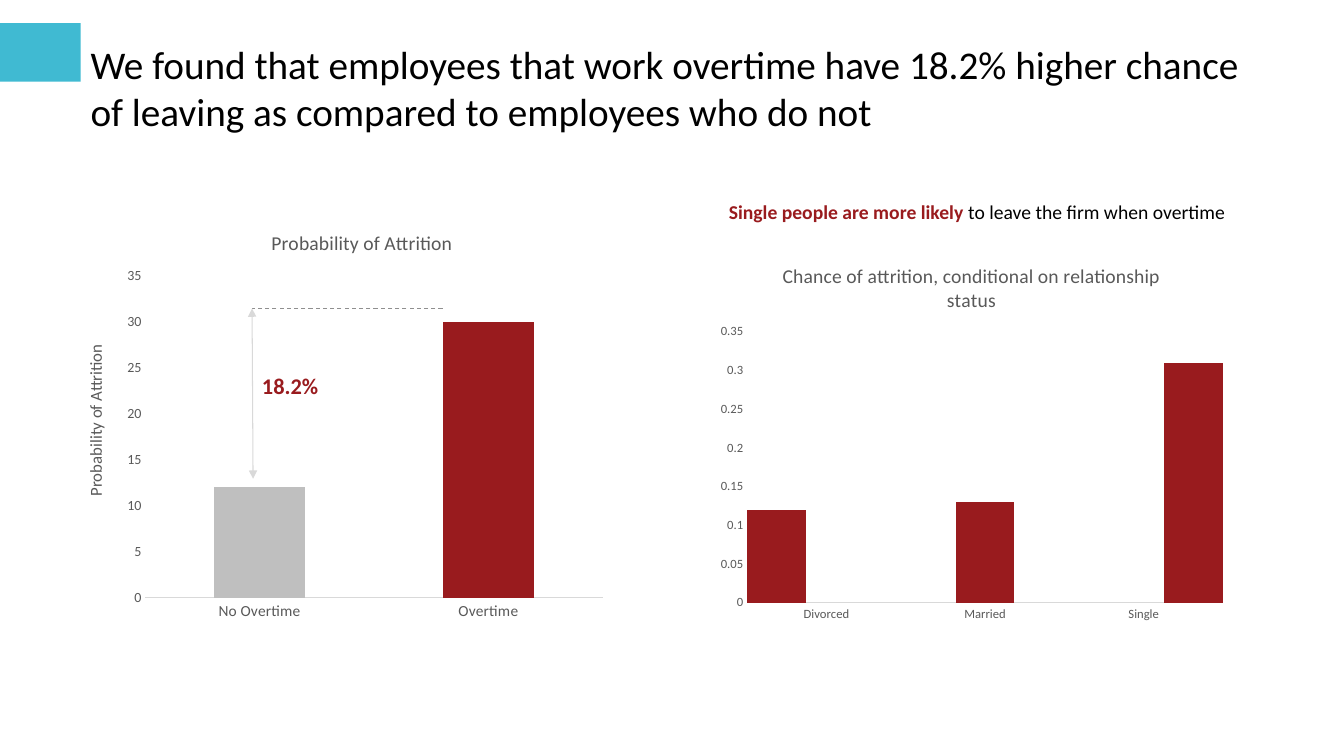
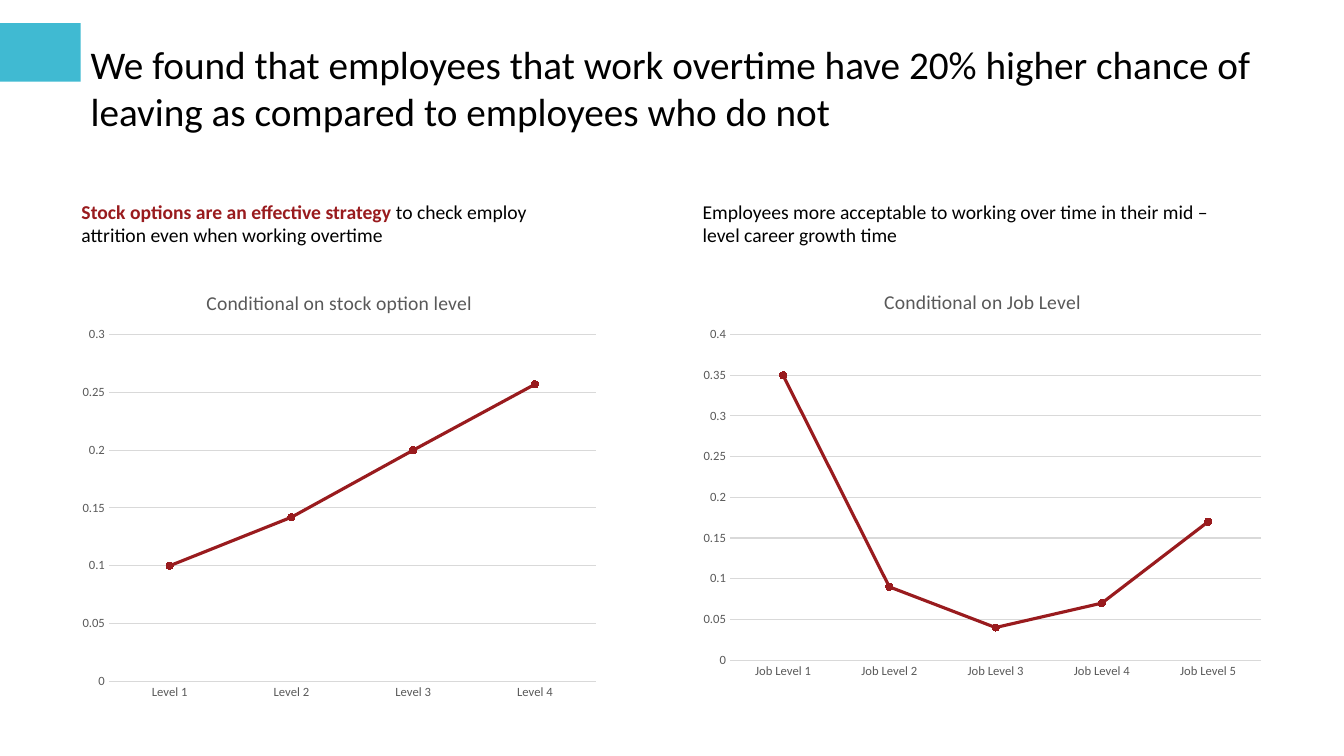
from lxml import etree
from pptx import Presentation
from pptx import util as u
from pptx.chart.data import CategoryChartData
from pptx.dml.color import RGBColor
from pptx.enum import chart as charts, dml, shapes, text
from pptx.oxml.ns import qn

PX = 9144  # EMU in one px, at 100 px to the inch
FONT = "Calibri"
BLACK = RGBColor(0x00, 0x00, 0x00)
GREY = RGBColor(0x59, 0x59, 0x59)
DASH_GREY = RGBColor(0x8F, 0x8F, 0x8F)
RULE_GREY = RGBColor(0xD9, 0xD9, 0xD9)
BAR_GREY = RGBColor(0xBF, 0xBF, 0xBF)
CRIMSON = RGBColor(0x99, 0x1B, 0x1E)
TEAL = RGBColor(0x40, 0xBA, 0xD2)


def px(*lengths):
    return [u.Emu(length * PX) for length in lengths]


def set_font(font, size, color, bold=False):
    font.name = FONT
    font.size = u.Pt(size)
    font.bold = bold
    font.color.rgb = color


def set_line(line, color, width=0.75):
    line.color.rgb = color
    line.width = u.Pt(width)


class Deck:
    def __init__(self):
        self.presentation = Presentation()
        self.presentation.slide_width, self.presentation.slide_height = px(1333, 750)
        self.slide = None

    def new_slide(self, title):
        """Start a slide with the shared accent block and title."""
        self.slide = self.presentation.slides.add_slide(self.presentation.slide_layouts[6])
        self.text((80, 35, 1187, 104), [(title, BLACK, False)], size=28)
        accent = self.slide.shapes.add_shape(shapes.MSO_SHAPE.RECTANGLE, *px(0, 23, 80, 58))
        accent.shadow.inherit = False
        accent.fill.solid()
        accent.fill.fore_color.rgb = TEAL
        accent.line.fill.background()

    def text(self, box, runs, size=14, wrap=True, align=None, rotation=0):
        """Write one paragraph; each run is (wording, color, bold)."""
        shape = self.slide.shapes.add_textbox(*px(*box))
        shape.rotation = rotation
        frame = shape.text_frame
        frame.word_wrap = wrap
        frame.auto_size = text.MSO_AUTO_SIZE.SHAPE_TO_FIT_TEXT
        paragraph = frame.paragraphs[0]
        paragraph.alignment = align
        for wording, color, bold in runs:
            run = paragraph.add_run()
            run.text = wording
            set_font(run.font, size, color, bold)

    def line(self, start, end, color, dashed=False, arrows=False):
        connector = self.slide.shapes.add_connector(
            shapes.MSO_CONNECTOR.STRAIGHT, *px(*start, *end))
        set_line(connector.line, color)
        if dashed:
            connector.line.dash_style = dml.MSO_LINE.DASH
        properties = connector.element.spPr
        if arrows:
            outline = properties.find(qn("a:ln"))
            for tag in ("a:headEnd", "a:tailEnd"):
                etree.SubElement(outline, qn(tag), type="triangle")
        etree.SubElement(properties, qn("a:effectLst"))

    def chart(self, kind, box, plot_box, title, categories, series, top, step,
              category_size=9, value_size=9):
        """Add a chart; box and plot_box are both measured on the slide."""
        data = CategoryChartData()
        data.categories = categories
        for number, values in enumerate(series, 1):
            data.add_series(f"Series {number}", values)
        chart = self.slide.shapes.add_chart(kind, *px(*box), data).chart
        chart.has_legend = False
        chart.font.name = FONT
        chart.font.size = u.Pt(10)
        chart.has_title = True
        chart.chart_title.text_frame.text = title
        set_font(chart.chart_title.text_frame.paragraphs[0].runs[0].font, 14, GREY)

        category_axis, value_axis = chart.category_axis, chart.value_axis
        for axis, size in ((category_axis, category_size), (value_axis, value_size)):
            axis.major_tick_mark = axis.minor_tick_mark = charts.XL_TICK_MARK.NONE
            set_font(axis.tick_labels.font, size, GREY)
        set_line(category_axis.format.line, RULE_GREY)
        value_axis.format.line.fill.background()
        value_axis.has_major_gridlines = False
        value_axis.minimum_scale = 0
        value_axis.maximum_scale = top
        value_axis.major_unit = step
        value_axis.tick_labels.number_format = "General"
        value_axis.tick_labels.number_format_is_linked = False
        self.place_plot(chart, box, plot_box)
        return chart

    def place_plot(self, chart, box, plot_box):
        area = chart.element.find(".//" + qn("c:plotArea"))
        for old in area.findall(qn("c:layout")):
            area.remove(old)
        layout = etree.Element(qn("c:layout"))
        area.insert(0, layout)
        manual = etree.SubElement(layout, qn("c:manualLayout"))
        left, top, width, height = box
        plot_left, plot_top, plot_width, plot_height = plot_box
        settings = {
            "layoutTarget": "inner", "xMode": "edge", "yMode": "edge",
            "x": round((plot_left - left) / width, 4),
            "y": round((plot_top - top) / height, 4),
            "w": round(plot_width / width, 4),
            "h": round(plot_height / height, 4),
        }
        for name, value in settings.items():
            etree.SubElement(manual, qn("c:" + name), val=str(value))

    def bars(self, kind, *args, colors, gap, overlap, **sizes):
        chart = self.chart(kind, *args, **sizes)
        plot = chart.plots[0]
        plot.vary_by_categories = False
        plot.gap_width = gap
        plot.overlap = overlap
        for series, color in zip(plot.series, colors):
            series.format.fill.solid()
            series.format.fill.fore_color.rgb = color

    def trend(self, *args, **sizes):
        chart = self.chart(charts.XL_CHART_TYPE.LINE_MARKERS, *args, **sizes)
        axis = chart.value_axis
        axis.has_major_gridlines = True
        set_line(axis.major_gridlines.format.line, RULE_GREY)
        chart.plots[0].vary_by_categories = False
        series = chart.plots[0].series[0]
        series.smooth = False
        set_line(series.format.line, CRIMSON, 2.25)
        series.marker.style = charts.XL_MARKER_STYLE.CIRCLE
        series.marker.size = 5
        series.marker.format.fill.solid()
        series.marker.format.fill.fore_color.rgb = CRIMSON
        set_line(series.marker.format.line, CRIMSON)


def overtime_slide(deck):
    deck.new_slide("We found that employees that work overtime have 18.2% higher chance "
                   "of leaving as compared to employees who do not")
    deck.bars(charts.XL_CHART_TYPE.COLUMN_CLUSTERED,
              (704, 244, 519, 380), (741, 329, 472, 269),
              "Chance of attrition, conditional on relationship status",
              ["Divorced", "Married", "Single"],
              [(0.12, None, None), (None, 0.13, None), (None, None, 0.31)],
              0.35, 0.05, colors=[CRIMSON] * 3, gap=0, overlap=15)
    deck.bars(charts.XL_CHART_TYPE.COLUMN_STACKED,
              (110, 210, 498, 414), (144, 274, 454, 319),
              "Probability of Attrition", ["No Overtime", "Overtime"],
              [(12, None), (None, 30)], 35, 5,
              colors=[BAR_GREY, CRIMSON], gap=150, overlap=100,
              category_size=11, value_size=10)
    deck.text((-79, 402, 347, 30), [("Probability of Attrition", GREY, False)],
              size=12, align=text.PP_ALIGN.CENTER, rotation=270)
    deck.line((439, 306), (250, 306), DASH_GREY, dashed=True)
    deck.line((250, 306), (251, 475), RULE_GREY, arrows=True)
    deck.text((250, 364, 80, 37), [("18.2%", CRIMSON, True)], size=16, wrap=False)
    deck.text((713, 193, 530, 34),
              [("Single people are more likely ", CRIMSON, True),
               ("to leave the firm when overtime", BLACK, False)], wrap=False)


def conditions_slide(deck):
    deck.new_slide("We found that employees that work overtime have 20% higher chance "
                   "of leaving as compared to employees who do not")
    deck.trend((71, 269, 531, 434), (108, 332, 483, 344),
               "Conditional on stock option level",
               [f"Level {level}" for level in range(1, 5)],
               [(0.1, 0.142, 0.2, 0.257)], 0.3, 0.05)
    deck.trend((687, 269, 575, 413), (724, 332, 527, 323),
               "Conditional on Job Level",
               [f"Job Level {level}" for level in range(1, 6)],
               [(0.35, 0.09, 0.04, 0.07, 0.17)], 0.4, 0.05)
    deck.text((71, 193, 472, 57),
              [("Stock options are an effective strategy ", CRIMSON, True),
               ("to check employ attrition even when working overtime", BLACK, False)])
    deck.text((687, 193, 549, 57),
              [("Employees more acceptable to working over time in their mid –level "
                "career growth time", BLACK, False)])


def main():
    deck = Deck()
    overtime_slide(deck)
    conditions_slide(deck)
    deck.presentation.save("out.pptx")


if __name__ == "__main__":
    main()
